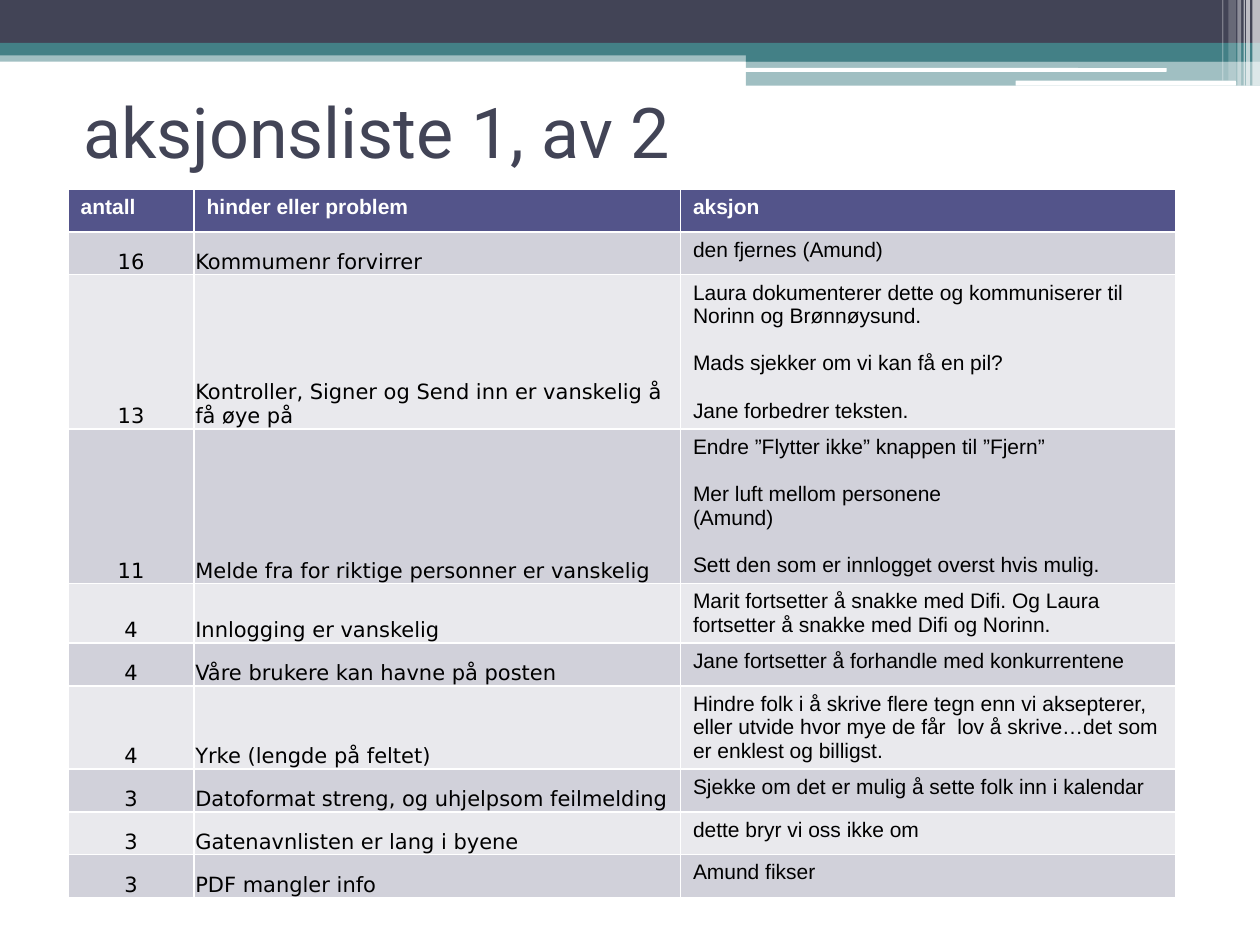
from lxml import etree
from pptx import Presentation, util as u
from pptx.dml.color import RGBColor
from pptx.enum import shapes, text
from pptx.oxml.ns import qn

COLS, ROWS = 100, 75
WIDE, HIGH = u.Inches(10), u.Inches(7.5)
HUES = {"ink": "424456", "teal": "438086", "white": "FFFFFF", "black": "000000",
        "head": "53548A", "dark": "D1D1DA", "light": "E9E9ED"}
RECT = shapes.MSO_SHAPE.RECTANGLE
ROUND = shapes.MSO_SHAPE.ROUNDED_RECTANGLE

BARS = [
    (RECT, 0, 4, 100, 0.9, "teal", 50),
    (RECT, 0, 0, 100, 3.4, "ink", 100),
    (RECT, 0, 3.4, 100, 1, "teal", 100),
    (RECT, 59.2, 3.9, 40.8, 1, "teal", 100),
    (RECT, 59.2, 4.8, 40.8, 2, "teal", 50),
    (ROUND, 59.1, 5.4, 33.5, 0.3, "white", 100),
    (ROUND, 80.6, 6.4, 17.5, 0.4, "white", 100),
]
STRIPES = [(99.4, 0.6, 6.8, 65), (98.9, 0.3, 6.8, 65), (98.7, 0.1, 6.8, 60),
           (98.2, 0.3, 6.8, 40), (97.5, 0.6, 6.4, 20), (97, 0.1, 6.4, 30)]

HEADS = ["antall", "hinder eller problem", "aksjon"]
WIDTHS = [10, 38.6, 39.3]
TALL = 3.4
GAP = 13.6
TASKS = [
    ("16", "Kommumenr forvirrer", [["den fjernes (Amund)"]]),
    ("13", "Kontroller, Signer og Send inn er vanskelig å få øye på",
     [["Laura dokumenterer dette og kommuniserer til Norinn og Brønnøysund."],
      ["Mads sjekker om vi kan få en pil?"],
      ["Jane forbedrer teksten."]]),
    ("11", "Melde fra for riktige personner er vanskelig",
     [["Endre ”Flytter ikke” knappen til ”Fjern”"],
      ["Mer luft mellom personene", "(Amund)"],
      ["Sett den som er innlogget overst hvis mulig."]]),
    ("4", "Innlogging er vanskelig",
     [["Marit fortsetter å snakke med Difi. Og Laura "
       "fortsetter å snakke med Difi og Norinn."]]),
    ("4", "Våre brukere kan havne på posten",
     [["Jane fortsetter å forhandle med konkurrentene"]]),
    ("4", "Yrke (lengde på feltet)",
     [["Hindre folk i å skrive flere tegn enn vi aksepterer, eller utvide hvor "
       "mye de får  lov å skrive…det som er enklest og billigst."]]),
    ("3", "Datoformat streng, og uhjelpsom feilmelding",
     [["Sjekke om det er mulig å sette folk inn i kalendar"]]),
    ("3", "Gatenavnlisten er lang i byene", [["dette bryr vi oss ikke om"]]),
    ("3", "PDF mangler info", [["Amund fikser"]]),
]


def across(n):
    return round(WIDE * n / COLS)


def down(n):
    return round(HIGH * n / ROWS)


def place(x, y, w, h):
    return across(x), down(y), across(w), down(h)


def tint(fill, hue, solid=100):
    fill.solid()
    fill.fore_color.rgb = RGBColor.from_string(HUES[hue])
    if solid < 100:
        node = fill._xPr.find(".//" + qn("a:srgbClr"))
        etree.SubElement(node, qn("a:alpha"), val=str(solid * 1000))


def add_bar(slide, kind, x, y, w, h, hue, solid):
    bar = slide.shapes.add_shape(kind, *place(x, y, w, h))
    bar.shadow.inherit = False
    bar.line.fill.background()
    tint(bar.fill, hue, solid)


def add_run(para, words, size, face, hue, bold=False):
    run = para.add_run()
    run.text = words
    run.font.size = u.Pt(size)
    run.font.name = face
    run.font.bold = bold
    run.font.color.rgb = RGBColor.from_string(HUES[hue])


def set_title(slide, words):
    title = slide.shapes.title
    title.left, title.top, title.width, title.height = place(5.6, 4.5, 90, 11.7)
    frame = title.text_frame
    frame.auto_size = text.MSO_AUTO_SIZE.NONE
    frame.vertical_anchor = text.MSO_ANCHOR.MIDDLE
    para = frame.paragraphs[0]
    para.alignment = text.PP_ALIGN.LEFT
    add_run(para, words, 40, "Roboto", "ink")
    slide.shapes._spTree.append(title._element)


def fill_head(cell, words):
    tint(cell.fill, "head")
    add_run(cell.text_frame.paragraphs[0], words, 12, "Arial", "white", True)


def fill_low(cell, words, hue, align):
    tint(cell.fill, hue)
    cell.vertical_anchor = text.MSO_ANCHOR.BOTTOM
    cell.margin_left = cell.margin_right = cell.margin_top = u.Inches(0.01)
    cell.margin_bottom = 0
    para = cell.text_frame.paragraphs[0]
    para.alignment = align
    add_run(para, words, 12, "DejaVu Sans", "black")


def fill_plan(cell, groups, hue):
    tint(cell.fill, hue)
    frame = cell.text_frame
    for g, group in enumerate(groups):
        for n, words in enumerate(group):
            para = frame.add_paragraph() if g or n else frame.paragraphs[0]
            if g and not n:
                para.space_before = u.Pt(GAP)
            add_run(para, words, 12, "Arial", "black")


def add_tasks(slide):
    count = len(TASKS) + 1
    spot = place(5.4, 15, sum(WIDTHS), TALL * count)
    table = slide.shapes.add_table(count, len(HEADS), *spot).table
    for col, width in zip(table.columns, WIDTHS):
        col.width = across(width)
    for row in table.rows:
        row.height = down(TALL)
    for c, words in enumerate(HEADS):
        fill_head(table.cell(0, c), words)
    for r, (num, snag, plan) in enumerate(TASKS, 1):
        hue = "dark" if r % 2 else "light"
        fill_low(table.cell(r, 0), num, hue, text.PP_ALIGN.CENTER)
        fill_low(table.cell(r, 1), snag, hue, text.PP_ALIGN.LEFT)
        fill_plan(table.cell(r, 2), plan, hue)


def main():
    deck = Presentation()
    deck.slide_width, deck.slide_height = WIDE, HIGH
    slide = deck.slides.add_slide(deck.slide_layouts[5])
    for bar in BARS:
        add_bar(slide, *bar)
    for x, w, h, solid in STRIPES:
        add_bar(slide, RECT, x, 0, w, h, "white", solid)
    set_title(slide, "aksjonsliste 1, av 2")
    add_tasks(slide)
    deck.save("out.pptx")


if __name__ == "__main__":
    main()
